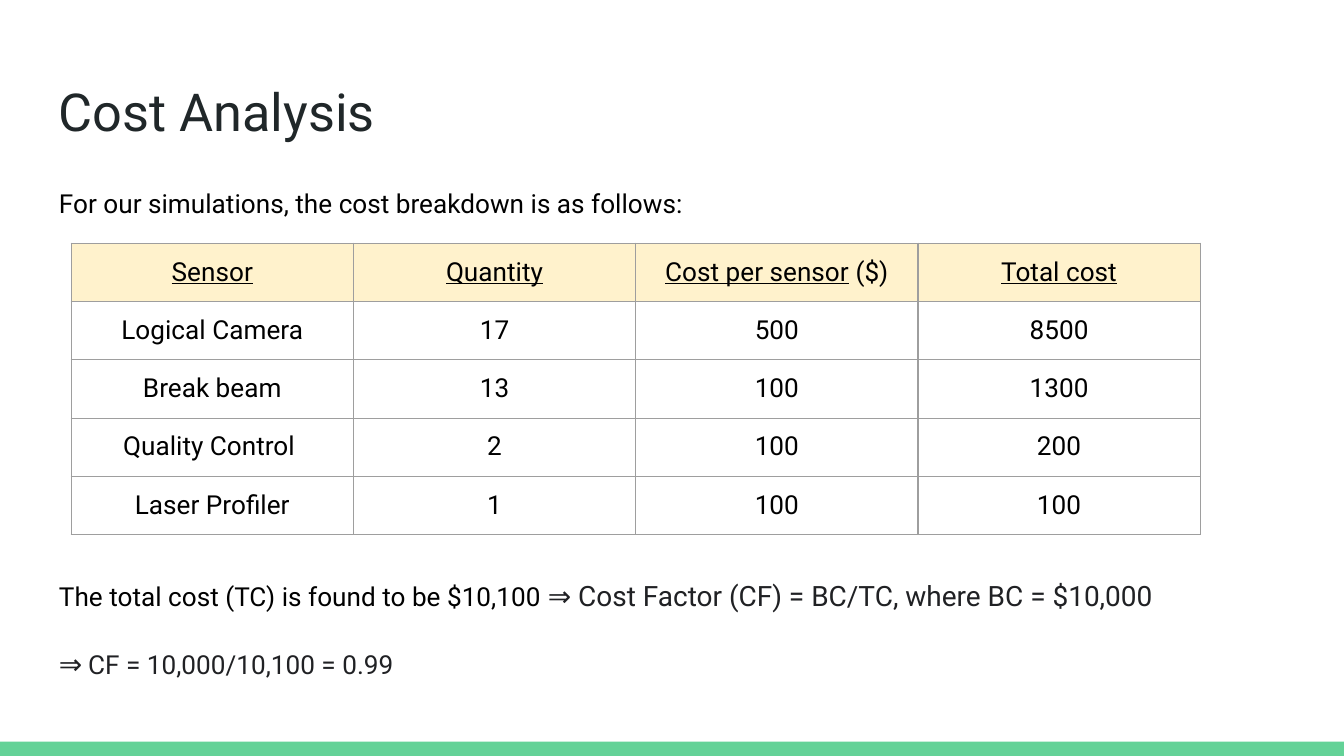
from lxml.etree import SubElement as Sub
from pptx import Presentation
from pptx.dml.color import RGBColor as RGB
from pptx.enum.shapes import MSO_SHAPE as Kind
from pptx.enum.text import PP_ALIGN as Align
from pptx.oxml.ns import qn
from pptx.util import Inches, Pt

WIDE, HIGH = Inches(10), Inches(5.625)
LEFT, SPAN = 0.034, 0.932  # shares of the slide's width
PAD = Inches(0.1)
FONT = "Roboto"
GREEN = RGB(0x63, 0xD2, 0x97)
CREAM = RGB(0xFF, 0xF2, 0xCC)
BLACK = RGB(0x00, 0x00, 0x00)
SLATE = RGB(0x20, 0x27, 0x29)
INK = RGB(0x20, 0x21, 0x24)
GRAY = RGB(0x9E, 0x9E, 0x9E)

HEAD = ["Sensor", "Quantity", "Cost per sensor", "Total cost"]
COSTS = [
    ("Logical Camera", 17, 500),
    ("Break beam", 13, 100),
    ("Quality Control ", 2, 100),
    ("Laser Profiler", 1, 100),
]


def add_run(para, text, size=14, color=BLACK, line=False):
    run = para.add_run()
    run.text = text
    font = run.font
    font.name, font.size, font.underline = FONT, Pt(size), line
    font.color.rgb = color


def add_box(slide, top, high):
    """Add a text box across the content width; top and high are shares."""
    box = slide.shapes.add_textbox(
        int(WIDE * LEFT), int(HIGH * top), int(WIDE * SPAN), int(HIGH * high))
    frame = box.text_frame
    frame.word_wrap = True
    frame.margin_left = frame.margin_right = PAD
    frame.margin_top = frame.margin_bottom = PAD
    return frame


def add_body(slide):
    frame = add_box(slide, 0.224, 0.706)
    # The second gap leaves room for the table.
    lines = [
        (0, [("For our simulations, the cost breakdown is as follows:",)]),
        (190, [("The total cost (TC) is found to be $10,100 ",),
               ("⇒ Cost Factor (CF) = BC/TC, where BC = $10,000", 15, INK)]),
        (16, [("⇒", 15, INK), (" ", 12, INK),
              ("CF = 10,000/10,100 = 0.99", 14, INK)]),
    ]
    for i, (gap, runs) in enumerate(lines):
        para = frame.add_paragraph() if i else frame.paragraphs[0]
        para.line_spacing = 1.15
        para.space_before = Pt(gap)
        for run in runs:
            add_run(para, *run)


def add_edges(cell):
    props = cell._tc.get_or_add_tcPr()
    for side in "LRTB":
        edge = Sub(props, qn(f"a:ln{side}"), w=str(Pt(0.75)))
        Sub(Sub(edge, qn("a:solidFill")), qn("a:srgbClr"), val=str(GRAY))


def set_cell(cell, text, head):
    cell.margin_left = cell.margin_right = PAD
    cell.margin_top = cell.margin_bottom = PAD
    add_edges(cell)
    if head:
        cell.fill.solid()
        cell.fill.fore_color.rgb = CREAM
    else:
        cell.fill.background()
    para = cell.text_frame.paragraphs[0]
    para.alignment = Align.CENTER
    add_run(para, text, line=head)


def add_costs(slide):
    rows = [HEAD] + [(name, num, cost, num * cost) for name, num, cost in COSTS]
    col, row = Inches(2.1), Inches(0.43)
    table = slide.shapes.add_table(
        len(rows), len(HEAD), Inches(0.53), Inches(1.81),
        col * len(HEAD), row * len(rows)).table
    table.first_row = table.horz_banding = False
    for i, vals in enumerate(rows):
        table.rows[i].height = row
        for j, val in enumerate(vals):
            table.columns[j].width = col
            set_cell(table.cell(i, j), str(val), i == 0)
    unit = table.cell(0, HEAD.index("Cost per sensor"))
    add_run(unit.text_frame.paragraphs[0], " ($)")


def add_bar(slide):
    top = int(HIGH * 0.981)
    bar = slide.shapes.add_shape(Kind.RECTANGLE, 0, top, WIDE, HIGH - top)
    bar.shadow.inherit = False
    bar.fill.solid()
    bar.fill.fore_color.rgb = GREEN
    bar.line.fill.background()


def main():
    deck = Presentation()
    deck.slide_width, deck.slide_height = WIDE, HIGH
    slide = deck.slides.add_slide(deck.slide_layouts[6])
    add_bar(slide)
    title = add_box(slide, 0.087, 0.112)
    add_run(title.paragraphs[0], "Cost Analysis", 28, SLATE)
    add_body(slide)
    add_costs(slide)
    deck.save("out.pptx")


if __name__ == "__main__":
    main()
